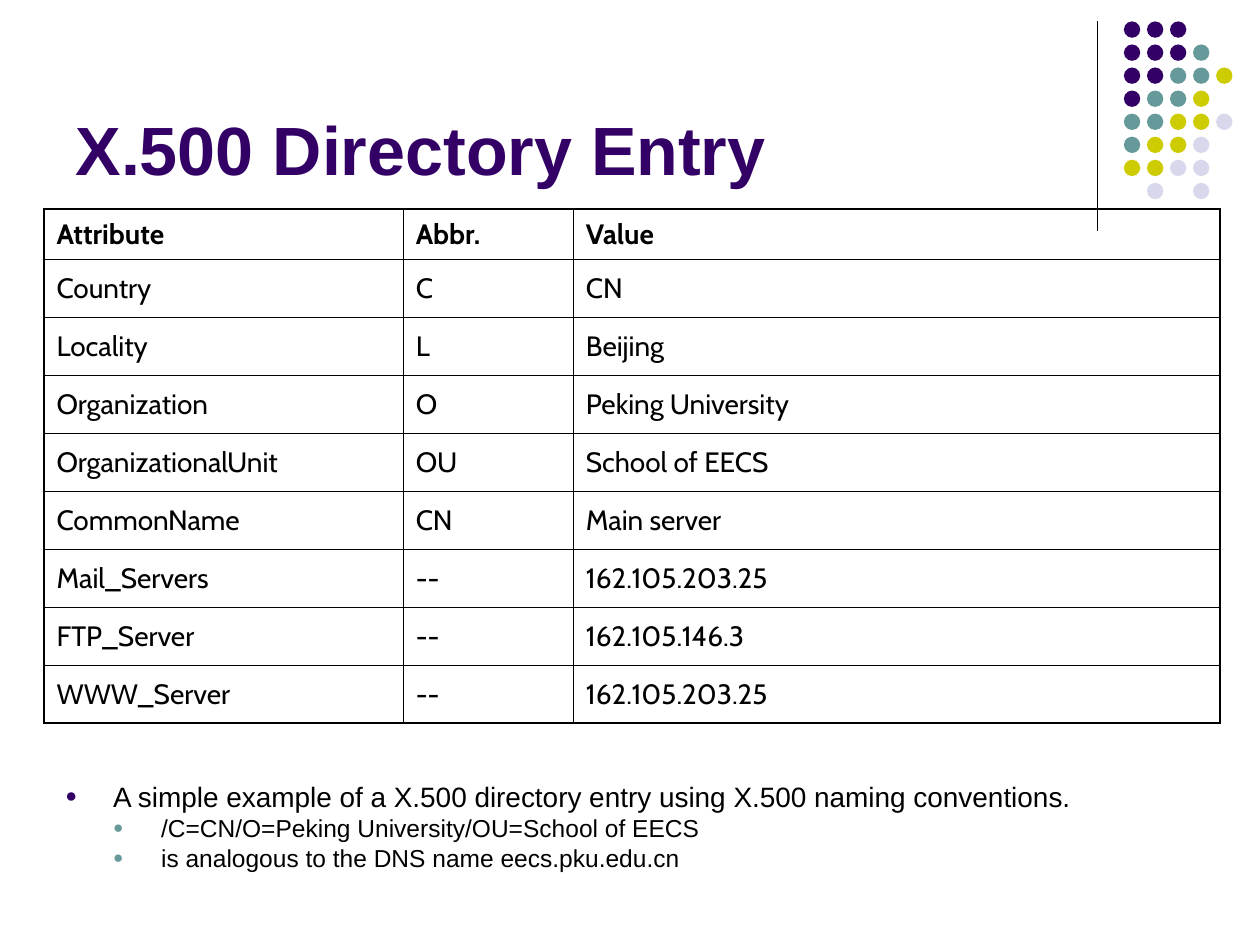
from lxml import etree
from pptx import Presentation
from pptx.dml.color import RGBColor
from pptx.enum.shapes import MSO_CONNECTOR, MSO_SHAPE
from pptx.enum.text import MSO_ANCHOR, PP_ALIGN
from pptx.oxml.ns import qn
from pptx.util import Inches, Pt

STRAIGHT = MSO_CONNECTOR.STRAIGHT
OVAL = MSO_SHAPE.OVAL
BOTTOM, MIDDLE = MSO_ANCHOR.BOTTOM, MSO_ANCHOR.MIDDLE
LEFT = PP_ALIGN.LEFT

COLORS = {
    "purple": "330066",
    "teal": "669999",
    "lime": "CCCC00",
    "lavender": "D8D8EC",
    "black": "000000",
}
TITLE = "X.500 Directory Entry"
ENTRY = [
    ("Attribute", "Abbr.", "Value"),
    ("Country", "C", "CN"),
    ("Locality", "L", "Beijing"),
    ("Organization", "O", "Peking University"),
    ("OrganizationalUnit", "OU", "School of EECS"),
    ("CommonName", "CN", "Main server"),
    ("Mail_Servers", "--", "162.105.203.25"),
    ("FTP_Server", "--", "162.105.146.3"),
    ("WWW_Server", "--", "162.105.203.25"),
]
COLUMN_WIDTHS = [2.85, 1.35, 5.13]
HEADER_HEIGHT, ROW_HEIGHT = 0.4, 0.46
NOTES = [
    (0, "A simple example of a X.500 directory entry using X.500 naming conventions."),
    (1, "/C=CN/O=Peking University/OU=School of EECS"),
    (1, "is analogous to the DNS name eecs.pku.edu.cn"),
]
NOTE_LEVELS = [
    {"size": 16, "before": 4, "indent": 0.38, "bullet": "purple"},
    {"size": 14, "before": 3.5, "indent": 0.76, "bullet": "teal"},
]
DOT_ROWS = ["PPP", "PPPT", "PPTTL", "PTTL", "TTLLV", "TLLV", "LLVV", " V V"]
DOT_COLORS = {"P": "purple", "T": "teal", "L": "lime", "V": "lavender"}
DOT_LEFT, DOT_TOP, DOT_PITCH, DOT_SIZE = 8.92, 0.17, 0.183, 0.13


def rgb(name):
    return RGBColor.from_string(COLORS[name])


def add_run(paragraph, text, face, size, color="black", bold=False):
    run = paragraph.add_run()
    run.text = text
    run.font.name = face
    run.font.size = Pt(size)
    run.font.bold = bold
    run.font.color.rgb = rgb(color)


def add_title(slide):
    title = slide.shapes.title
    title.left, title.top = Inches(0.5), Inches(0.13)
    title.width, title.height = Inches(8.25), Inches(1.42)
    title.text_frame.vertical_anchor = BOTTOM
    heading = title.text_frame.paragraphs[0]
    heading.alignment = LEFT
    add_run(heading, TITLE, "Arial", 39, "purple", True)


def add_decoration(slide):
    rule = slide.shapes.add_connector(
        STRAIGHT, Inches(8.71), Inches(0.17), Inches(8.71), Inches(1.83))
    rule.line.color.rgb = rgb("black")
    rule.line.width = Pt(0.75)
    etree.SubElement(rule._element.spPr, qn("a:effectLst"))
    dots = slide.shapes.add_group_shape()
    for row, codes in enumerate(DOT_ROWS):
        for column, code in enumerate(codes):
            if code == " ":
                continue
            dot = dots.shapes.add_shape(
                OVAL,
                Inches(DOT_LEFT + column * DOT_PITCH),
                Inches(DOT_TOP + row * DOT_PITCH),
                Inches(DOT_SIZE), Inches(DOT_SIZE))
            dot.shadow.inherit = False
            dot.fill.solid()
            dot.fill.fore_color.rgb = rgb(DOT_COLORS[code])
            dot.line.fill.background()


def set_borders(cell, outer_sides):
    properties = cell._tc.get_or_add_tcPr()
    for position, side in enumerate("LRTB"):
        width = Pt(1.08 if side in outer_sides else 0.45)
        border = etree.Element(qn(f"a:ln{side}"), w=str(int(width)))
        fill = etree.SubElement(border, qn("a:solidFill"))
        etree.SubElement(fill, qn("a:srgbClr"), val=COLORS["black"])
        properties.insert(position, border)


def add_entry_table(slide):
    last_row, last_column = len(ENTRY) - 1, len(COLUMN_WIDTHS) - 1
    table = slide.shapes.add_table(
        len(ENTRY), len(COLUMN_WIDTHS), Inches(0.35), Inches(1.66),
        Inches(sum(COLUMN_WIDTHS)),
        Inches(HEADER_HEIGHT + last_row * ROW_HEIGHT)).table
    table.first_row = table.horz_banding = False
    for column, width in zip(table.columns, COLUMN_WIDTHS):
        column.width = Inches(width)
    for r, texts in enumerate(ENTRY):
        table.rows[r].height = Inches(ROW_HEIGHT if r else HEADER_HEIGHT)
        for c, text in enumerate(texts):
            cell = table.cell(r, c)
            cell.fill.background()
            cell.vertical_anchor = MIDDLE
            add_run(cell.text_frame.paragraphs[0], text, "Cabin", 16, bold=r == 0)
            edges = {"L": c == 0, "R": c == last_column,
                     "T": r == 0, "B": r == last_row}
            set_borders(cell, [side for side, outer in edges.items() if outer])


def add_bullet(paragraph, indent, color):
    properties = paragraph._p.get_or_add_pPr()
    properties.set("marL", str(Inches(indent)))
    properties.set("indent", str(Inches(-0.38)))
    bullet_color = etree.SubElement(properties, qn("a:buClr"))
    etree.SubElement(bullet_color, qn("a:srgbClr"), val=COLORS[color])
    etree.SubElement(properties, qn("a:buSzPct"), val="70000")
    etree.SubElement(properties, qn("a:buFont"), typeface="Arial")
    etree.SubElement(properties, qn("a:buChar"), char="●")


def add_notes(slide):
    frame = slide.shapes.add_textbox(
        Inches(0.42), Inches(6.19), Inches(9.08), Inches(0.92)).text_frame
    frame.word_wrap = True
    for number, (level, text) in enumerate(NOTES):
        style = NOTE_LEVELS[level]
        note = frame.add_paragraph() if number else frame.paragraphs[0]
        note.level = level
        add_bullet(note, style["indent"], style["bullet"])
        note.line_spacing = 0.8
        if number:
            note.space_before = Pt(style["before"])
        add_run(note, text, "Arial", style["size"])


def main():
    deck = Presentation()
    deck.slide_width, deck.slide_height = Inches(10), Inches(7.5)
    slide = deck.slides.add_slide(deck.slide_layouts[5])
    add_decoration(slide)
    add_title(slide)
    add_notes(slide)
    add_entry_table(slide)
    deck.save("out.pptx")


if __name__ == "__main__":
    main()
